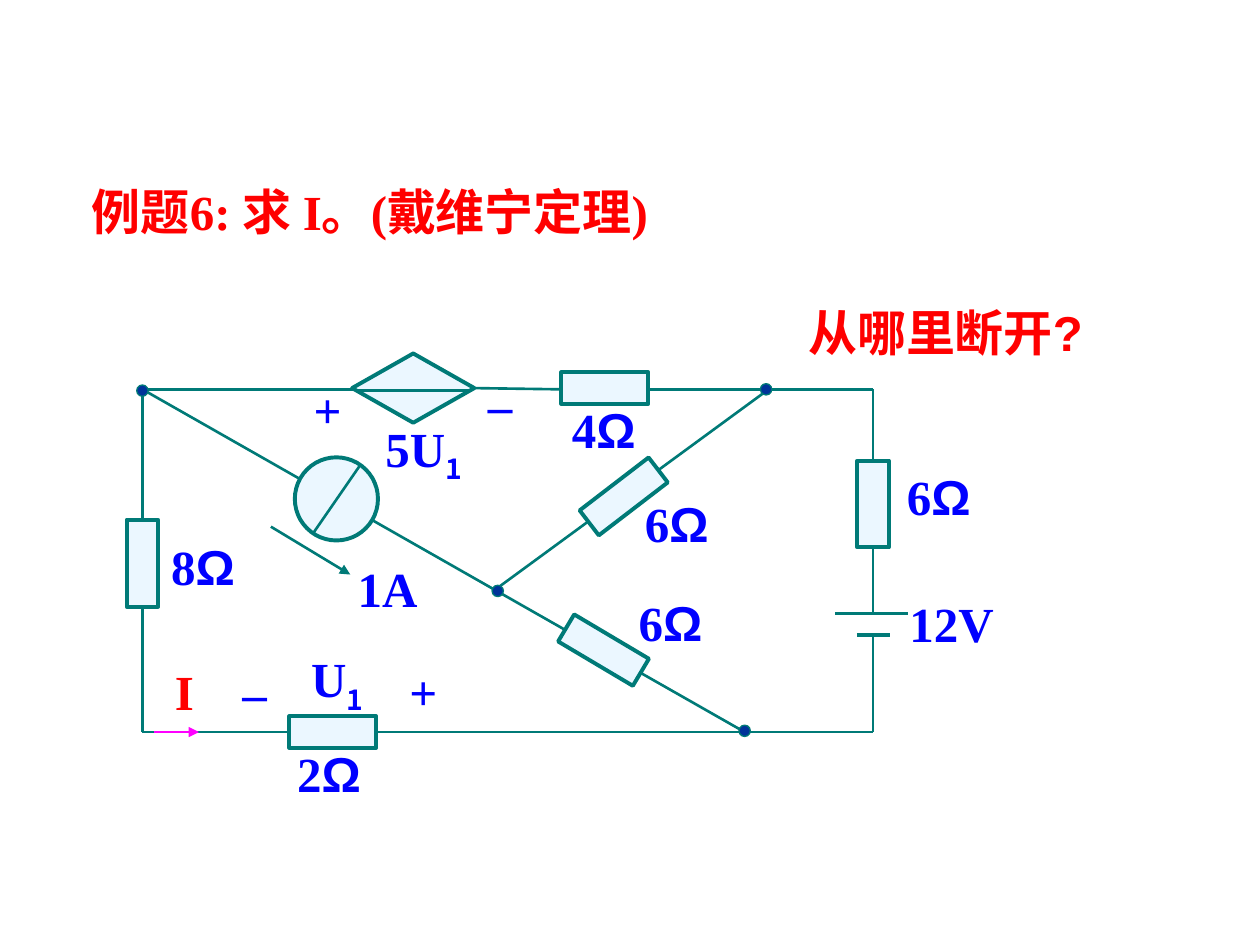
"""Build a slide with a Thevenin circuit exercise."""
from lxml import etree
from pptx import Presentation
from pptx.dml.color import RGBColor
from pptx.enum.shapes import MSO_CONNECTOR, MSO_SHAPE
from pptx.enum.text import MSO_ANCHOR, MSO_AUTO_SIZE, PP_ALIGN
from pptx.oxml.ns import qn
from pptx.util import Inches, Pt

STRAIGHT = MSO_CONNECTOR.STRAIGHT
RECTANGLE, DIAMOND, OVAL = MSO_SHAPE.RECTANGLE, MSO_SHAPE.DIAMOND, MSO_SHAPE.OVAL
TOP, MIDDLE = MSO_ANCHOR.TOP, MSO_ANCHOR.MIDDLE
LEFT_ALIGN, CENTER = PP_ALIGN.LEFT, PP_ALIGN.CENTER
NO_FIT = MSO_AUTO_SIZE.NONE

TEAL = RGBColor(0x00, 0x7A, 0x77)
PALE = RGBColor(0xEB, 0xF7, 0xFF)
NAVY = RGBColor(0x00, 0x33, 0x99)
BLUE = RGBColor(0x00, 0x00, 0xFF)
RED = RGBColor(0xFF, 0x00, 0x00)
MAGENTA = RGBColor(0xFF, 0x00, 0xFF)

SERIF, SANS, CJK = "Times New Roman", "Arial", "Noto Sans CJK SC"
THIN, WIRE, THICK = 0.75, 1.5, 2.25
LEFT, RIGHT, UPPER, LOWER = 1.13, 6.93, 3.09, 5.81
PLATE_TOP, PLATE_BOTTOM = 4.87, 5.04
RESISTOR = (0.25, 0.69)
NODE = (0.09, 0.09)
LABEL_HEIGHT = 0.57

TITLE = "例题6: 求 I。(戴维宁定理)"
TITLE_AREA = (0.63, 1.39, 4.66, 1.04)
QUESTION = [("从哪里断开", SERIF), ("?", SANS)]
QUESTION_AREA = (6.23, 2.35, 2.31, LABEL_HEIGHT)

WIRES = [
    ((LEFT, UPPER), (5.91, LOWER)),
    ((LEFT, UPPER), (2.82, UPPER)),
    ((3.75, 3.08), (4.44, UPPER)),
    ((5.12, UPPER), (RIGHT, UPPER)),
    ((LEFT, UPPER), (LEFT, LOWER)),
    ((LEFT, LOWER), (2.3, LOWER)),
    ((2.98, LOWER), (RIGHT, LOWER)),
    ((RIGHT, UPPER), (RIGHT, 3.65)),
    ((RIGHT, 4.33), (RIGHT, PLATE_TOP)),
    ((RIGHT, PLATE_BOTTOM), (RIGHT, LOWER)),
    ((6.1, UPPER), (3.93, 4.68)),
    ((6.63, PLATE_TOP), (7.21, PLATE_TOP)),
]
SHORT_PLATE = ((6.8, PLATE_BOTTOM), (7.06, PLATE_BOTTOM))
SOURCE_STROKES = [((2.82, 3.1), (3.73, 3.1)), ((2.86, 3.69), (2.48, 4.24))]
SOURCE_ARROW = ((2.15, 4.18), (2.78, 4.56))
CURRENT_ARROW = ((1.22, LOWER), (1.58, LOWER))

RESISTORS = [
    (1.13, 4.47, 0), (RIGHT, 4, 0), (2.64, LOWER, 90), (4.8, 3.08, 90),
    (4.79, 5.16, 300.7), (4.95, 3.94, 52.5),
]
SOURCES = [(DIAMOND, (3.28, 3.08), (0.97, 0.55)), (OVAL, (2.67, 3.96), (0.66, 0.66))]
NODES = [(LEFT, 3.1), (5.91, 5.8), (6.08, UPPER), (3.95, 4.69)]

RESISTANCES = [
    ("8", 1.26, 4.21), ("2", 2.26, 5.85), ("4", 4.44, 3.12),
    ("6", 5.02, 3.87), ("6", 4.97, 4.65), ("6", 7.1, 3.65),
]
VALUES = [("1A", 2.74, 4.38, 0.7, BLUE), ("12V", 7.12, 4.66, 1.03, BLUE),
          ("I", 1.29, 5.2, 0.38, RED)]
VOLTAGES = [("5U", 2.96, 3.27, 0.89), ("U", 2.37, 5.1, 0.69)]
SIGNS = [("+", 2.4, 2.96), ("–", 3.77, 2.92), ("+", 3.16, 5.2), ("–", 1.82, 5.21)]


def draw_line(page, ends, color=TEAL, width=WIRE, arrow=False):
    (x1, y1), (x2, y2) = ends
    line = page.shapes.add_connector(
        STRAIGHT, Inches(x1), Inches(y1), Inches(x2), Inches(y2))
    line.line.color.rgb = color
    line.line.width = Pt(width)
    properties = line.line._get_or_add_ln()
    if arrow:
        etree.SubElement(properties, qn("a:tailEnd"), type="triangle")
    etree.SubElement(properties.getparent(), qn("a:effectLst"))


def draw_part(page, kind, center, size, fill=PALE, width=THICK, rotation=0):
    left, top = (middle - length / 2 for middle, length in zip(center, size))
    part = page.shapes.add_shape(kind, *map(Inches, (left, top, *size)))
    part.rotation = rotation
    part.shadow.inherit = False
    part.fill.solid()
    part.fill.fore_color.rgb = fill
    part.line.color.rgb = TEAL
    part.line.width = Pt(width)


def write(box, spans, color, align=LEFT_ALIGN, anchor=TOP, wrap=True):
    frame = box.text_frame
    frame.word_wrap = wrap
    frame.auto_size = NO_FIT
    frame.vertical_anchor = anchor
    para = frame.paragraphs[0]
    para.alignment = align
    para.font.size = Pt(28)
    para.font.bold = True
    para.font.color.rgb = color
    for text, font in spans:
        span = para.add_run()
        span.text = text
        span.font.name = font
    return para


def add_label(page, area, spans, color=BLUE, **style):
    box = page.shapes.add_textbox(*map(Inches, area))
    return write(box, spans, color, **style)


def draw_circuit(page):
    for ends in WIRES:
        draw_line(page, ends)
    draw_line(page, SHORT_PLATE, width=THICK)
    for x, y, rotation in RESISTORS:
        draw_part(page, RECTANGLE, (x, y), RESISTOR, rotation=rotation)
    for kind, center, size in SOURCES:
        draw_part(page, kind, center, size)
    for ends in SOURCE_STROKES:
        draw_line(page, ends)
    for center in NODES:
        draw_part(page, OVAL, center, NODE, NAVY, THIN)
    draw_line(page, SOURCE_ARROW, arrow=True)
    draw_line(page, CURRENT_ARROW, MAGENTA, arrow=True)


def label_circuit(page):
    for value, left, top in RESISTANCES:
        add_label(page, (left, top, 0.9, LABEL_HEIGHT), [(value, SERIF), ("Ω", SANS)])
    for text, left, top, width, color in VALUES:
        add_label(page, (left, top, width, LABEL_HEIGHT), [(text, SERIF)], color)
    for name, left, top, width in VOLTAGES:
        para = add_label(page, (left, top, width, 0.63), [(name, SERIF), ("1", CJK)])
        para.runs[1].font._element.set("baseline", "-25000")
    for sign, left, top in SIGNS:
        add_label(page, (left, top, 0.4, LABEL_HEIGHT), [(sign, SERIF)],
                  align=CENTER, anchor=MIDDLE, wrap=False)


def main():
    deck = Presentation()
    deck.slide_width, deck.slide_height = Inches(10), Inches(7.5)
    page = deck.slides.add_slide(deck.slide_layouts[5])
    title = page.shapes.title
    title.left, title.top, title.width, title.height = map(Inches, TITLE_AREA)
    write(title, [(TITLE, SERIF)], RED)
    draw_circuit(page)
    label_circuit(page)
    add_label(page, QUESTION_AREA, QUESTION, RED, align=CENTER, anchor=MIDDLE)
    deck.save("out.pptx")


if __name__ == "__main__":
    main()
